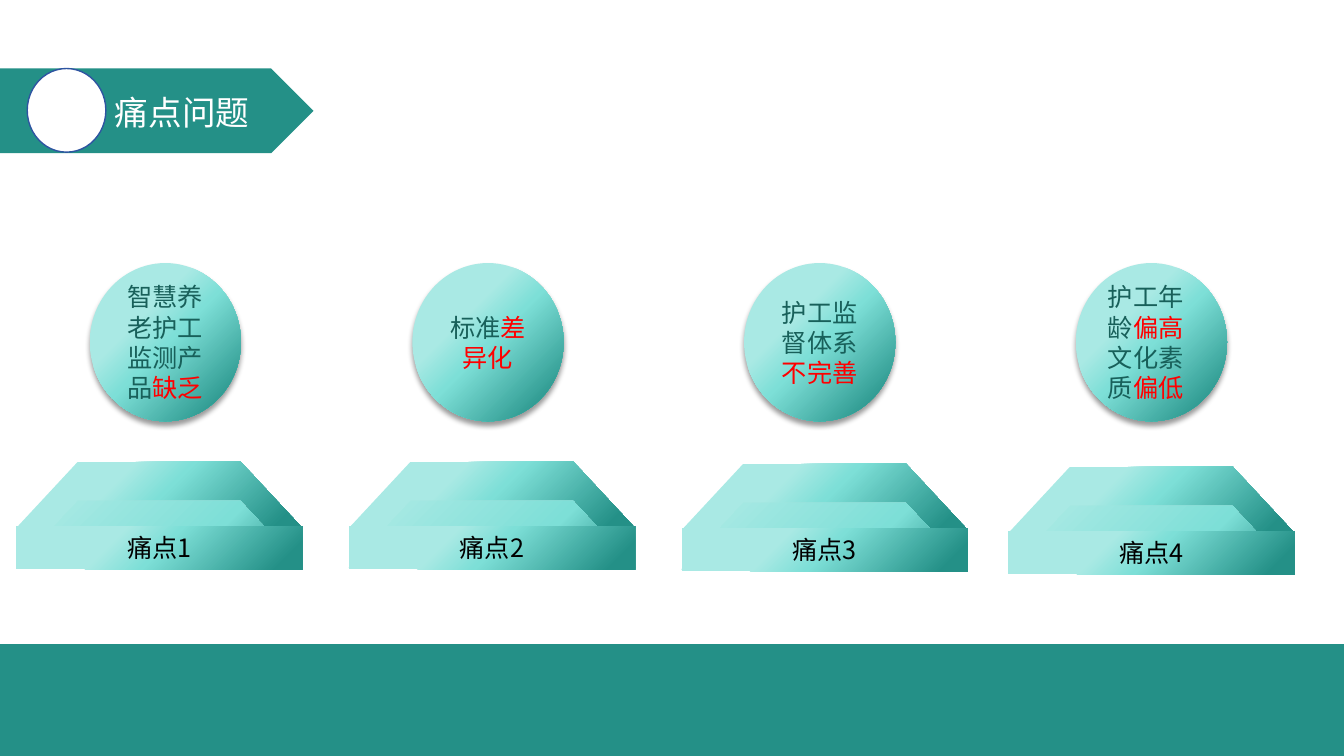
import pptx
import pptx.util
import pptx.dml.color
import pptx.enum.shapes
import pptx.enum.text
import pptx.oxml.ns
import lxml.etree

Inches = pptx.util.Inches
Pt = pptx.util.Pt
KIND = pptx.enum.shapes.MSO_SHAPE
ALIGN = pptx.enum.text.PP_ALIGN
qn = pptx.oxml.ns.qn
FONT = "Noto Sans CJK JP"
HEX = {"teal": "249087", "mid": "7DDFD7", "pale": "A9E9E4", "deep": "18605A",
       "red": "FF0000", "navy": "2E54A1", "white": "FFFFFF", "black": "000000"}
GLOSS = [(5, "pale"), (34, "pale"), (51, "mid"), (92, "teal")]
SOFT = [(5, "pale"), (10, "pale"), (66, "mid"), (97, "teal")]


def paint(shape, fill):
    """Fill with one colour name or with a list of gradient stops."""
    shape.shadow.inherit = False
    shape.line.fill.background()
    if isinstance(fill, str):
        shape.fill.solid()
        shape.fill.fore_color.rgb = pptx.dml.color.RGBColor.from_string(HEX[fill])
        return
    shape.fill.gradient()
    shape.fill.gradient_angle = 315
    stops = shape._element.spPr.find(qn("a:gradFill")).find(qn("a:gsLst"))
    for old in list(stops):
        stops.remove(old)
    for pos, name in fill:
        stop = lxml.etree.SubElement(stops, qn("a:gs"), pos=str(pos * 1000))
        lxml.etree.SubElement(stop, qn("a:srgbClr"), val=HEX[name])


def write(shape, parts, size, align):
    """Write (text, colour) parts as the runs of one paragraph."""
    para = shape.text_frame.paragraphs[0]
    para.alignment = align
    for text, name in parts:
        run = para.add_run()
        run.text = text
        run.font.size = Pt(size)
        run.font.name = FONT
        run.font.color.rgb = pptx.dml.color.RGBColor.from_string(HEX[name])
        lxml.etree.SubElement(run._r.rPr, qn("a:ea"), typeface=FONT)


deck = pptx.Presentation()
deck.slide_width, deck.slide_height = Inches(13.33), Inches(7.5)
slide = deck.slides.add_slide(deck.slide_layouts[5])
shapes = slide.shapes

# Banner with plain round badge
flag = shapes.add_shape(KIND.PENTAGON, 0, Inches(0.68), Inches(3.11), Inches(0.84))
paint(flag, "teal")
badge = shapes.add_shape(KIND.OVAL, Inches(0.27), Inches(0.68), Inches(0.78), Inches(0.83))
paint(badge, "white")
badge.line.color.rgb = pptx.dml.color.RGBColor.from_string(HEX["navy"])
badge.line.width = Pt(1)

# Title, lifted above the banner
title = shapes.title
title.left, title.top = Inches(1.04), Inches(0.86)
title.width, title.height = Inches(1.71), Inches(0.5)
title.text_frame.vertical_anchor = pptx.enum.text.MSO_ANCHOR.TOP
title.text_frame.auto_size = pptx.enum.text.MSO_AUTO_SIZE.NONE
write(title, [("痛点问题", "white")], 24, ALIGN.LEFT)
shapes._spTree.append(title._element)

# Pain points: ball left, plinth left, plinth top, alignment, text
pains = [
    (0.89, 0.16, 4.58, ALIGN.CENTER, [("智慧养老护工监测产品", "deep"), ("缺乏", "red")]),
    (4.09, 3.46, 4.58, ALIGN.CENTER, [("标准", "deep"), ("差异化", "red")]),
    (7.38, 6.76, 4.6, ALIGN.CENTER, [("护工监督体系", "deep"), ("不完善", "red")]),
    (10.67, 10, 4.63, ALIGN.LEFT, [("护工年龄", "deep"), ("偏高", "red"),
                                   ("文化素质", "deep"), ("偏低", "red")]),
]
for num, (left, base, top, align, parts) in enumerate(pains, 1):
    # Ball with soft shadow
    ball = shapes.add_shape(KIND.OVAL, Inches(left), Inches(2.61), Inches(1.5), Inches(1.57))
    paint(ball, GLOSS)
    shade = lxml.etree.SubElement(
        ball._element.spPr.find(qn("a:effectLst")), qn("a:outerShdw"),
        blurRad=str(Pt(4)), dist=str(Pt(3)), dir="5400000", rotWithShape="0")
    tint = lxml.etree.SubElement(shade, qn("a:srgbClr"), val=HEX["black"])
    lxml.etree.SubElement(tint, qn("a:alpha"), val="40000")
    write(ball, parts, 18, align)

    # Plinth: two slopes and a front
    plinth = shapes.add_group_shape()
    for drop, fill in ((0, GLOSS), (0.39, SOFT)):
        slope = plinth.shapes.add_shape(KIND.TRAPEZOID, Inches(base), Inches(top + drop),
                                        Inches(2.84), Inches(0.66))
        slope.adjustments[0] = 0.93
        paint(slope, fill)
    front = plinth.shapes.add_shape(KIND.RECTANGLE, Inches(base), Inches(top + 0.64),
                                    Inches(2.84), Inches(0.43))
    paint(front, GLOSS)
    write(front, [(f"痛点{num}", "black")], 18, ALIGN.CENTER)

# Footer band
foot = shapes.add_shape(KIND.RECTANGLE, 0, Inches(6.39), Inches(13.33), Inches(1.11))
paint(foot, "teal")

deck.save("out.pptx")
